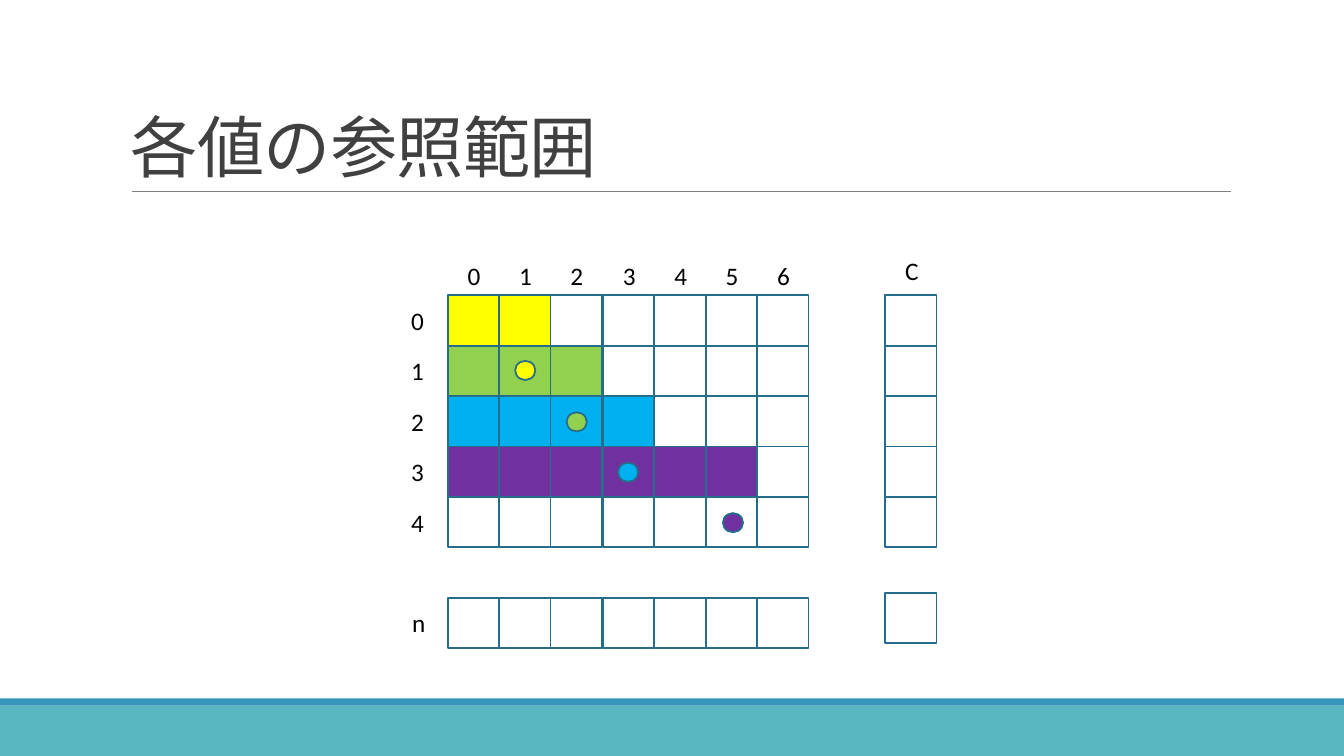
from typing import Any, NamedTuple

from lxml import etree
from pptx import Presentation
from pptx import util as u
from pptx.dml.color import RGBColor
from pptx.enum import shapes, text
from pptx.oxml.ns import qn

PX = 9144
CELL_WIDTH, CELL_HEIGHT = 51, 50
COLUMN_PITCH = 51.2
GRID_LEFT, GRID_TOP = 444, 293
COLUMNS, ROWS = 7, 5
C_LEFT = 878
OUTLINE = "266D8A"
YELLOW, GREEN, BLUE, PURPLE = "FFFF00", "92D050", "00B0F0", "7030A0"
LABEL_FORMAT = {"size": u.Pt(18), "name": "Calibri"}
TITLE_FORMAT = {"size": u.Pt(48), "name": "Calibri"}


class Block(NamedTuple):
    left: int
    top: int
    width: int
    height: int
    fill: str | None = None
    line: str | None = OUTLINE
    kind: Any = shapes.MSO_SHAPE.RECTANGLE


class Label(NamedTuple):
    words: str
    left: int
    top: int


class Range(NamedTuple):
    color: str
    length: int
    dot_left: int
    dot_top: int


RANGES = [
    Range(YELLOW, 2, 511, 358),
    Range(GREEN, 3, 562, 409),
    Range(BLUE, 4, 613, 459),
    Range(PURPLE, 6, 717, 509),
]


def rgb(value: str) -> RGBColor:
    """Turn a hex string into a colour."""
    return RGBColor.from_string(value)


def box(*lengths: int) -> list[u.Emu]:
    """Turn px lengths into EMU."""
    return [u.Emu(length * PX) for length in lengths]


def column_left(column: int) -> int:
    """Give the left edge of a grid column."""
    return round(GRID_LEFT + column * COLUMN_PITCH)


def row_top(row: int) -> int:
    """Give the top edge of a grid row."""
    return GRID_TOP + row * CELL_HEIGHT


def cell(left: int, top: int, fill: str | None = None) -> Block:
    """Describe one cell."""
    return Block(left, top, CELL_WIDTH, CELL_HEIGHT, fill)


def draw_block(slide: Any, block: Block) -> None:
    """Draw a filled or hollow shape."""
    shape = slide.shapes.add_shape(
        block.kind, *box(block.left, block.top, block.width, block.height))
    shape.shadow.inherit = False
    if block.fill:
        shape.fill.solid()
        shape.fill.fore_color.rgb = rgb(block.fill)
    else:
        shape.fill.background()
    if block.line:
        shape.line.color.rgb = rgb(block.line)
        shape.line.width = u.Pt(1.25)
    else:
        shape.line.fill.background()


def add_text(slide: Any, words: str, lengths: tuple[int, ...],
             style: dict[str, Any], color: str) -> Any:
    """Add a text box with one run and return its shape."""
    shape = slide.shapes.add_textbox(*box(*lengths))
    run = shape.text_frame.paragraphs[0].add_run()
    run.text = words
    for name, value in style.items():
        setattr(run.font, name, value)
    run.font.color.rgb = rgb(color)
    return shape


def draw_label(slide: Any, label: Label) -> None:
    """Draw an index label."""
    shape = add_text(slide, label.words, (label.left, label.top, 30, 40),
                     LABEL_FORMAT, "000000")
    shape.text_frame.word_wrap = False
    shape.text_frame.auto_size = text.MSO_AUTO_SIZE.SHAPE_TO_FIT_TEXT


def draw_title(slide: Any) -> None:
    """Draw the title and the rule under it."""
    line = slide.shapes.add_connector(
        shapes.MSO_CONNECTOR.STRAIGHT, *box(131, 190, 1221, 190))
    line.line.color.rgb = rgb("808080")
    line.line.width = u.Pt(0.5)
    etree.SubElement(line._element.spPr, qn("a:effectLst"))
    shape = add_text(slide, "各値の参照範囲", (120, 31, 1100, 159),
                     TITLE_FORMAT, "404040")
    frame = shape.text_frame
    frame.word_wrap = True
    frame.vertical_anchor = text.MSO_ANCHOR.BOTTOM
    paragraph = frame.paragraphs[0]
    paragraph.line_spacing = 0.85
    paragraph.runs[0]._r.get_or_add_rPr().set("spc", "-50")


def grid_blocks() -> list[Block]:
    """List the cells of the grid, row n and column C, then the dots."""
    blocks = []
    for row in range(ROWS):
        reach = RANGES[row] if row < len(RANGES) else None
        for column in range(COLUMNS):
            fill = reach.color if reach and column < reach.length else None
            blocks.append(cell(column_left(column), row_top(row), fill))
    blocks += [cell(C_LEFT, row_top(row)) for row in range(ROWS)]
    blocks += [cell(column_left(column), row_top(6)) for column in range(COLUMNS)]
    blocks.append(cell(C_LEFT, 588))
    blocks += [Block(reach.dot_left, reach.dot_top, 20, 19, reach.color,
                     kind=shapes.MSO_SHAPE.OVAL) for reach in RANGES]
    return blocks


def index_labels() -> list[Label]:
    """List the labels of the columns and rows."""
    labels = [Label(str(column), column_left(column) + 10, 253)
              for column in range(COLUMNS)]
    labels += [Label(str(row), 398, row_top(row) + 5) for row in range(ROWS)]
    return labels + [Label("n", 399, row_top(6) + 5), Label("C", 888, 248)]


def main() -> None:
    """Build and save the slide."""
    presentation = Presentation()
    presentation.slide_width, presentation.slide_height = box(1333, 750)
    slide = presentation.slides.add_slide(presentation.slide_layouts[6])
    draw_block(slide, Block(0, 700, 1333, 50, "58B6C0", None))
    draw_block(slide, Block(0, 693, 1333, 7, "3494BA", None))
    draw_title(slide)
    for block in grid_blocks():
        draw_block(slide, block)
    for label in index_labels():
        draw_label(slide, label)
    presentation.save("out.pptx")


if __name__ == "__main__":
    main()
